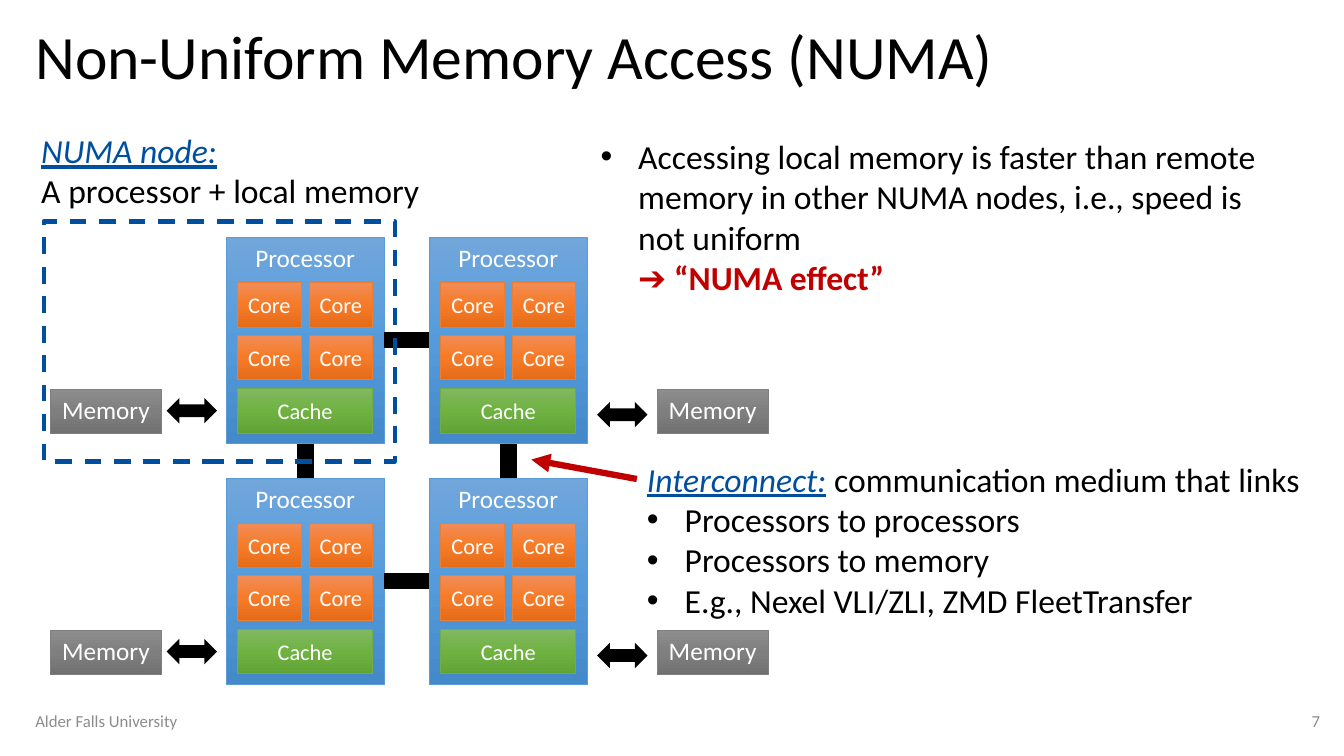
from copy import deepcopy
from dataclasses import dataclass
from itertools import product

from lxml.etree import SubElement
from pptx import Presentation
from pptx.dml.color import RGBColor
from pptx.enum.dml import MSO_LINE
from pptx.enum.shapes import MSO_CONNECTOR, MSO_SHAPE
from pptx.enum.text import MSO_ANCHOR, MSO_AUTO_SIZE, PP_ALIGN
from pptx.oxml.ns import qn
from pptx.shapes.autoshape import Shape
from pptx.shapes.connector import Connector
from pptx.slide import Slide
from pptx.text.text import TextFrame
from pptx.util import Cm, Pt

FONT = "Calibri"
BLACK = RGBColor(0x00, 0x00, 0x00)
WHITE = RGBColor(0xFF, 0xFF, 0xFF)
GRAY = RGBColor(0x8C, 0x8C, 0x8C)
NAVY = RGBColor(0x00, 0x4F, 0x9E)
RED = RGBColor(0xC0, 0x00, 0x00)
BLUE_LINE = RGBColor(0x5B, 0x9B, 0xD5)
BLUE_STOPS = (RGBColor(0x71, 0xA6, 0xDB), RGBColor(0x55, 0x9B, 0xDB), RGBColor(0x44, 0x8A, 0xCA))
ORANGE_LINE = RGBColor(0xED, 0x7D, 0x31)
ORANGE_STOPS = (RGBColor(0xF1, 0x8C, 0x57), RGBColor(0xF6, 0x7B, 0x28), RGBColor(0xE5, 0x6C, 0x19))
GREEN_LINE = RGBColor(0x70, 0xAD, 0x47)
GREEN_STOPS = (RGBColor(0x81, 0xB8, 0x61), RGBColor(0x6F, 0xB2, 0x42), RGBColor(0x62, 0xA3, 0x36))
GRAY_LINE = RGBColor(0x7F, 0x7F, 0x7F)
GRAY_STOPS = (RGBColor(0x8D, 0x8D, 0x8D), GRAY_LINE, RGBColor(0x71, 0x71, 0x71))

# Processor grid, in centimetres
COLUMNS = (5.7, 10.82)
ROWS = (5.98, 12.05)
PROCESSOR_WIDTH, PROCESSOR_HEIGHT = 3.98, 5.2
CORE_LEFT, CORE_TOP = 0.29, 1.14
CORE_PITCH_X, CORE_PITCH_Y = 1.8, 1.32
CACHE_TOP, MEMORY_TOP = 3.81, 3.83
LINK_DROP = 2.59
LINK_WIDTH = 12
LIST_INDENT = 0.95


@dataclass(frozen=True)
class Block:
    label: str
    width: float
    height: float
    stops: tuple[RGBColor, ...]
    outline: RGBColor
    size: int
    anchor: MSO_ANCHOR = MSO_ANCHOR.MIDDLE


@dataclass(frozen=True)
class MemorySide:
    memory_left: float
    arrow_left: float
    arrow_drop: float


PROCESSOR = Block("Processor", PROCESSOR_WIDTH, PROCESSOR_HEIGHT,
                  BLUE_STOPS, BLUE_LINE, 18, MSO_ANCHOR.TOP)
CORE = Block("Core", 1.6, 1.12, ORANGE_STOPS, ORANGE_LINE, 16)
CACHE = Block("Cache", 3.4, 1.12, GREEN_STOPS, GREEN_LINE, 16)
MEMORY = Block("Memory", 2.8, 1.12, GRAY_STOPS, GRAY_LINE, 18, MSO_ANCHOR.TOP)
SIDES = (MemorySide(1.27, 4.2, 4.05), MemorySide(16.56, 15.05, 4.15))


def add_text(frame: TextFrame, text: str, *, size: int = 24, color: RGBColor = BLACK,
             bold: bool = False, italic: bool = False, underline: bool = False,
             align: PP_ALIGN = PP_ALIGN.LEFT, new_para: bool = True,
             indent: float = 0, bullet: bool = False, spacing: float = 1.0) -> None:
    """Add a formatted span, in a new paragraph or after the last one."""
    para = frame.paragraphs[-1]
    if new_para:
        if para.runs:
            para = frame.add_paragraph()
        para.alignment = align
        para.line_spacing = spacing
        para.space_before = para.space_after = Pt(0)
        properties = para._p.get_or_add_pPr()
        properties.set("marL", str(Cm(indent)))
        properties.set("indent", str(-Cm(indent) if bullet else 0))
        if bullet:
            SubElement(properties, qn("a:buFont")).set("typeface", "Arial")
            SubElement(properties, qn("a:buChar")).set("char", "•")
        else:
            SubElement(properties, qn("a:buNone"))
    span = para.add_run()
    span.text = text
    font = span.font
    font.name, font.size, font.color.rgb = FONT, Pt(size), color
    font.bold, font.italic, font.underline = bold, italic, underline


def place(box: Shape, left: float, top: float, width: float, height: float,
          anchor: MSO_ANCHOR = MSO_ANCHOR.TOP) -> TextFrame:
    box.left, box.top, box.width, box.height = Cm(left), Cm(top), Cm(width), Cm(height)
    frame = box.text_frame
    frame.word_wrap = True
    frame.auto_size = MSO_AUTO_SIZE.NONE
    frame.vertical_anchor = anchor
    return frame


def add_text_box(page: Slide, left: float, top: float, width: float, height: float,
                 anchor: MSO_ANCHOR = MSO_ANCHOR.TOP) -> TextFrame:
    box = page.shapes.add_textbox(0, 0, 0, 0)
    return place(box, left, top, width, height, anchor)


def add_preset(page: Slide, kind: MSO_SHAPE, left: float, top: float,
               width: float, height: float) -> Shape:
    shape = page.shapes.add_shape(kind, Cm(left), Cm(top), Cm(width), Cm(height))
    shape.shadow.inherit = False
    return shape


def add_block(page: Slide, block: Block, left: float, top: float) -> None:
    shape = add_preset(page, MSO_SHAPE.RECTANGLE, left, top, block.width, block.height)
    shape.fill.gradient()
    stop_list = shape.element.spPr.find(".//" + qn("a:gsLst"))
    stop_list.insert(1, deepcopy(stop_list[0]))
    shape.fill.gradient_angle = 270
    for stop, color, position in zip(shape.fill.gradient_stops, block.stops, (0, 0.5, 1)):
        stop.color.rgb, stop.position = color, position
    shape.line.color.rgb, shape.line.width = block.outline, Pt(0.5)
    frame = shape.text_frame
    frame.word_wrap = False
    frame.vertical_anchor = block.anchor
    add_text(frame, block.label, size=block.size, color=WHITE, align=PP_ALIGN.CENTER)


def add_processor(page: Slide, left: float, top: float) -> None:
    add_block(page, PROCESSOR, left, top)
    for row, column in product(range(2), repeat=2):
        add_block(page, CORE, left + CORE_LEFT + column * CORE_PITCH_X,
                  top + CORE_TOP + row * CORE_PITCH_Y)
    add_block(page, CACHE, left + CORE_LEFT, top + CACHE_TOP)


def add_line(page: Slide, start: tuple[float, float], end: tuple[float, float],
             color: RGBColor, width: float) -> Connector:
    line = page.shapes.add_connector(MSO_CONNECTOR.STRAIGHT, *map(Cm, start + end))
    line.line.color.rgb, line.line.width = color, Pt(width)
    SubElement(line.element.spPr, qn("a:effectLst"))
    return line


def add_memory(page: Slide, side: MemorySide, top: float) -> None:
    arrow = add_preset(page, MSO_SHAPE.LEFT_RIGHT_ARROW, side.arrow_left,
                       top + side.arrow_drop, 1.27, 0.64)
    arrow.fill.solid()
    arrow.fill.fore_color.rgb = BLACK
    arrow.line.fill.background()
    add_block(page, MEMORY, side.memory_left, top + MEMORY_TOP)


def main() -> None:
    deck = Presentation()
    deck.slide_width, deck.slide_height = Cm(33.87), Cm(19.05)
    page = deck.slides.add_slide(deck.slide_layouts[3])
    title, effect_list, interconnect_list = page.placeholders

    # Title and node definition
    frame = place(title, 0.64, 0, 33.22, 3.0, MSO_ANCHOR.MIDDLE)
    add_text(frame, "Non-Uniform Memory Access (NUMA)", size=44, spacing=0.9)
    frame = add_text_box(page, 0.79, 3.15, 11.33, 2.31)
    add_text(frame, "NUMA node:", color=NAVY, italic=True, underline=True)
    add_text(frame, "A processor + local memory")

    # Processors, their links and memory
    for top, left in product(ROWS, COLUMNS):
        add_processor(page, left, top)
    for top in ROWS:
        add_line(page, (COLUMNS[0] + PROCESSOR_WIDTH, top + LINK_DROP),
                 (COLUMNS[1], top + LINK_DROP), BLACK, LINK_WIDTH)
    for left in COLUMNS:
        middle = left + PROCESSOR_WIDTH / 2
        add_line(page, (middle, ROWS[0] + PROCESSOR_HEIGHT), (middle, ROWS[1]), BLACK, LINK_WIDTH)
    for side, top in product(SIDES, ROWS):
        add_memory(page, side, top)

    # Interconnect list and its pointer
    frame = place(interconnect_list, 16.05, 11.43, 17.2, 4.37)
    add_text(frame, "Interconnect:", color=NAVY, italic=True, underline=True)
    add_text(frame, " communication medium that links", new_para=False)
    for item in ("Processors to processors", "Processors to memory",
                 "E.g., Nexel VLI/ZLI, ZMD FleetTransfer"):
        add_text(frame, item, indent=LIST_INDENT, bullet=True)
    pointer = add_line(page, (13.39, 11.58), (16.05, 12.07), RED, 4.5)
    SubElement(pointer.line._get_or_add_ln(), qn("a:headEnd")).set("type", "triangle")

    # Effect list
    frame = place(effect_list, 14.88, 3.3, 17.7, 4.37)
    add_text(frame, "Accessing local memory is faster than remote memory in other NUMA nodes, "
             "i.e., speed is not uniform", indent=LIST_INDENT, bullet=True)
    add_text(frame, "➔ “NUMA effect”", color=RED, bold=True, indent=LIST_INDENT)

    # Dashed node outline
    node = add_preset(page, MSO_SHAPE.RECTANGLE, 1.1, 5.58, 8.85, 6.05)
    node.fill.background()
    node.line.color.rgb, node.line.width = NAVY, Pt(3)
    node.line.dash_style = MSO_LINE.DASH

    # Footer
    frame = add_text_box(page, 0.64, 17.65, 11.43, 1.02, MSO_ANCHOR.MIDDLE)
    add_text(frame, "Alder Falls University", size=12, color=GRAY)
    frame = add_text_box(page, 25.9, 17.65, 7.62, 1.02, MSO_ANCHOR.MIDDLE)
    add_text(frame, "7", size=12, color=GRAY, align=PP_ALIGN.RIGHT)

    deck.save("out.pptx")


if __name__ == "__main__":
    main()
